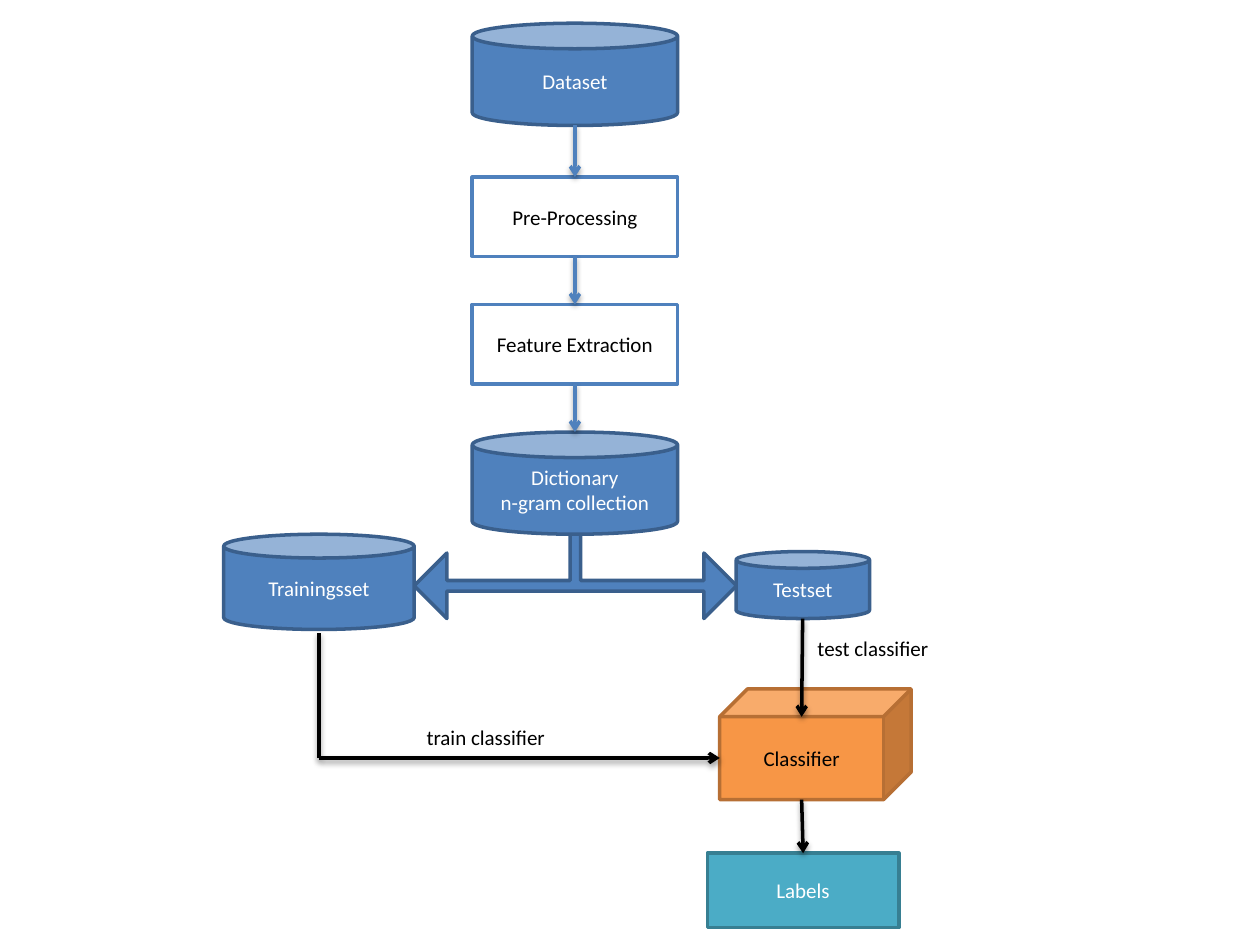
from typing import NamedTuple, Optional

from lxml import etree
from pptx import Presentation
from pptx.dml.color import RGBColor
from pptx.enum import shapes as es, text as et
from pptx.oxml import ns
from pptx.util import Cm, Pt

HUES = {
    "blue": "4F81BD", "navy": "3A5F8C", "white": "FFFFFF", "black": "000000",
    "orange": "F79646", "brown": "B76F34", "teal": "4BACC6", "pine": "377F92",
}
KINDS = es.MSO_SHAPE


class Look(NamedTuple):
    kind: int
    fill: str
    edge: str
    ink: str


class Node(NamedTuple):
    key: str
    look: Look
    left: float
    top: float
    wide: float
    high: float
    words: str = ""


class Link(NamedTuple):
    start: tuple
    end: tuple
    hue: str = "black"
    head: bool = True
    source: Optional[str] = None  # rectangle left at its bottom
    target: Optional[str] = None  # rectangle reached at its top


STORE = Look(KINDS.CAN, "blue", "navy", "white")
STEP = Look(KINDS.RECTANGLE, "white", "blue", "black")
FORK = Look(KINDS.LEFT_RIGHT_UP_ARROW, "blue", "navy", "white")
MODEL = Look(KINDS.CUBE, "orange", "brown", "black")
RESULT = Look(KINDS.RECTANGLE, "teal", "pine", "white")

# Main column, in centimetres
LEFT, WIDE = 9.52, 4.14
MID = LEFT + WIDE / 2
NODES = [
    Node("fork", FORK, 8.35, 9.83, 6.5, 2.64),
    Node("data", STORE, LEFT, 0.47, WIDE, 2.06, "Dataset"),
    Node("prep", STEP, LEFT, 3.57, WIDE, 1.6, "Pre-Processing"),
    Node("feat", STEP, LEFT, 6.14, WIDE, 1.6, "Feature Extraction"),
    Node("dict", STORE, LEFT, 8.71, WIDE, 2.06, "Dictionary\nn-gram collection"),
    Node("train", STORE, 4.51, 10.77, 3.84, 1.92, "Trainingsset"),
    Node("test", STORE, 14.84, 11.12, 2.69, 1.35, "Testset"),
    Node("model", MODEL, 14.51, 13.89, 3.86, 2.23, "Classifier"),
    Node("label", RESULT, 14.26, 17.2, 3.86, 1.5, "Labels"),
]
BEND = (6.43, 15.28)
LINKS = [
    Link((MID, 2.53), (MID, 3.57), "blue", target="prep"),
    Link((MID, 5.17), (MID, 6.14), "blue", source="prep", target="feat"),
    Link((MID, 7.74), (MID, 8.71), "blue", source="feat"),
    Link(BEND, (BEND[0], 12.76), head=False),
    Link(BEND, (14.51, BEND[1])),
    Link((16.18, 12.47), (16.16, 14.45)),
    Link((16.16, 16.12), (16.19, 17.2), target="label"),
]
NOTES = [("train classifier", 8.35, 14.48), ("test classifier", 16.23, 12.68)]


def tint(hue: str) -> RGBColor:
    return RGBColor.from_string(HUES[hue])


def write(frame, words: str, ink: str, align) -> None:
    frame.text = words
    for para in frame.paragraphs:
        para.alignment = align
        para.font.name = "Calibri"
        para.font.size = Pt(12)
        para.font.color.rgb = tint(ink)


def draw_node(slide, node: Node):
    look = node.look
    box = slide.shapes.add_shape(
        look.kind, Cm(node.left), Cm(node.top), Cm(node.wide), Cm(node.high))
    box.shadow.inherit = False
    box.fill.solid()
    box.fill.fore_color.rgb = tint(look.fill)
    box.line.color.rgb = tint(look.edge)
    box.line.width = Pt(2)
    if node.words:
        box.text_frame.vertical_anchor = et.MSO_ANCHOR.MIDDLE
        write(box.text_frame, node.words, look.ink, et.PP_ALIGN.CENTER)
    return box


def add_shade(line) -> None:
    """Give a connector a soft shadow straight below it."""
    def add(up, tag, **attrs):
        return etree.SubElement(up, ns.qn(tag), **attrs)

    group = add(line._element.spPr, "a:effectLst")
    shade = add(group, "a:outerShdw", blurRad="40000", dist="20000",
                dir="5400000", rotWithShape="0")
    hue = add(shade, "a:srgbClr", val=HUES["black"])
    add(hue, "a:alpha", val="38000")


def draw_link(slide, link: Link, boxes: dict) -> None:
    ends = [Cm(v) for v in link.start + link.end]
    line = slide.shapes.add_connector(es.MSO_CONNECTOR.STRAIGHT, *ends)
    line.line.color.rgb = tint(link.hue)
    line.line.width = Pt(2)
    if link.source:
        line.begin_connect(boxes[link.source], 2)
    if link.target:
        line.end_connect(boxes[link.target], 0)
    if link.head:
        etree.SubElement(line.line._get_or_add_ln(), ns.qn("a:tailEnd"), type="arrow")
    add_shade(line)


def draw_note(slide, words: str, left: float, top: float) -> None:
    note = slide.shapes.add_textbox(Cm(left), Cm(top), Cm(4.24), Cm(0.77))
    note.text_frame.word_wrap = True
    note.text_frame.auto_size = et.MSO_AUTO_SIZE.SHAPE_TO_FIT_TEXT
    write(note.text_frame, words, "black", et.PP_ALIGN.LEFT)


def main() -> None:
    deck = Presentation()
    deck.slide_width, deck.slide_height = Cm(25.4), Cm(19.05)
    slide = deck.slides.add_slide(deck.slide_layouts[6])

    # Stores, steps and results
    boxes = {node.key: draw_node(slide, node) for node in NODES}
    for spot, value in enumerate((0.081, 0.25, 0.25)):
        boxes["fork"].adjustments[spot] = value

    # Flow and its captions
    for link in LINKS:
        draw_link(slide, link, boxes)
    for note in NOTES:
        draw_note(slide, *note)

    deck.save("out.pptx")


if __name__ == "__main__":
    main()
